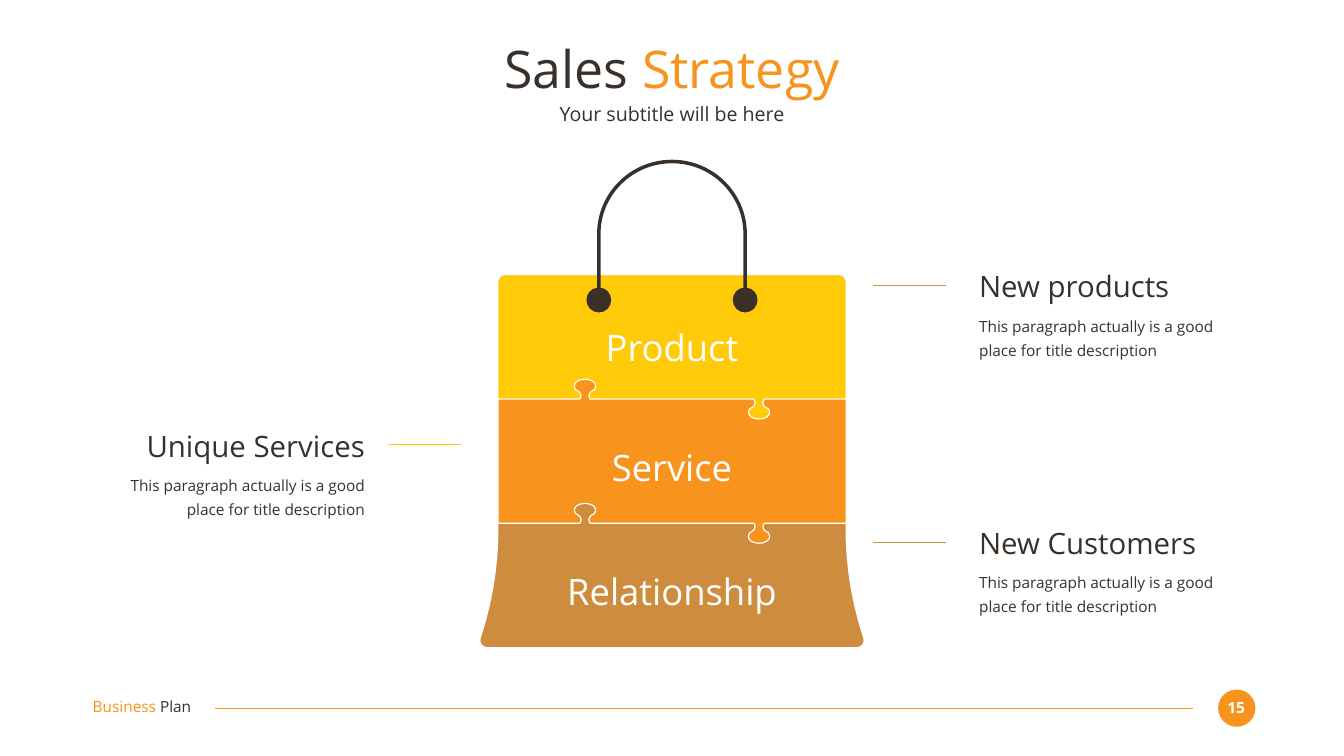
import pptx
import pptx.dml.color
import pptx.enum.shapes
import pptx.enum.text
import pptx.oxml.ns
import pptx.util
from lxml import etree

Pt = pptx.util.Pt
RGB = pptx.dml.color.RGBColor.from_string
qn = pptx.oxml.ns.qn
ALIGN = pptx.enum.text.PP_ALIGN
FONT = "Open Sans"
COLORS = {"dark": "39302A", "orange": "F8931D", "yellow": "FFCA08",
          "brown": "CE8D3E", "white": "FFFFFF"}
AXIS = 960
LEFT, RIGHT = 711.4, 1208.8


def connect(*parts):
    """Join Bezier chains (node, control, control, node, ...) by straight segments."""
    chain = list(parts[0])
    for part in parts[1:]:
        if chain[-1] == part[0]:
            chain += part[1:]
        else:
            chain += [chain[-1], part[0], *part]
    return chain


def with_mirror(half, axis=AXIS):
    """The half outline followed by its reflection, walked backwards."""
    return connect(half, [(2 * axis - x, y) for x, y in reversed(half)])


prs = pptx.Presentation()
prs.slide_width, prs.slide_height = Pt(1920), Pt(1080)
slide = prs.slides.add_slide(prs.slide_layouts[6])

# Bag pieces, joined along two seams with one knob up and one knob down
knob = with_mirror([(-7.6, 0), (-6.5, 0.7), (-5.6, 2.9), (-5.6, 5),
                    (-5.6, 7.9), (-7.2, 9.4), (-8.6, 10.8),
                    (-13, 12.2), (-15.3, 15.1), (-15.3, 18.7),
                    (-15.3, 24.5), (-8.6, 28.4), (0, 28.4)], 0)
seams = []
for seam_y in (570.3, 747.5):
    up, down = [[(knob_x + x, seam_y + direction * y) for x, y in knob]
                for knob_x, direction in ((AXIS - 124.3, -1), (AXIS + 124.3, 1))]
    seams.append(connect([(LEFT, seam_y)], up, down, [(RIGHT, seam_y)]))
upper_seam, lower_seam = seams

bag_top = with_mirror(connect([(RIGHT, 570.3)], [(RIGHT, 402.4), (RIGHT, 396.7),
                                                 (1204.3, 392.4), (1198.8, 392.4)]))
bag_base = with_mirror([(RIGHT, 756.7), (RIGHT, 809.3), (1217.5, 861.8), (1234.1, 911.5),
                        (1236.2, 918), (1231.2, 925.2), (1224, 925.2)])
handle = with_mirror(connect(
    [(AXIS, 228.2), (1019, 228.2), (1067, 275.8), (1067, 334)],
    [(1067, 411.1), (1075.7, 411.8), (1082.2, 419.8), (1082.2, 428.4),
     (1082.2, 438.5), (1074.2, 446.4), (1064.4, 446.4),
     (1054.6, 446.4), (1046.9, 438.5), (1046.9, 428.4),
     (1046.9, 419.8), (1053.4, 411.8), (1062, 411.1)],
    [(1062, 334), (1062, 278.6), (1016.4, 233.3), (AXIS, 233.3)]))

for outline, color, edged in (
        (connect(lower_seam, bag_base), "brown", True),
        (connect(upper_seam, bag_top), "yellow", True),
        (connect(upper_seam, lower_seam[::-1]), "orange", True),
        (handle, "dark", False)):
    points = [(Pt(x), Pt(y)) for x, y in outline]
    builder = slide.shapes.build_freeform(*points[0], scale=1.0)
    builder.add_line_segments(points[3::3], close=True)
    piece = builder.convert_to_shape()
    # Turn each straight segment into the curve with its two controls
    for index, segment in enumerate(list(piece.element.iter(qn("a:lnTo")))[:len(points) // 3]):
        curve = etree.Element(qn("a:cubicBezTo"))
        for x, y in points[3 * index + 1:3 * index + 4]:
            etree.SubElement(curve, qn("a:pt"), x=str(x - piece.left), y=str(y - piece.top))
        segment.getparent().replace(segment, curve)
    piece.shadow.inherit = False
    piece.fill.solid()
    piece.fill.fore_color.rgb = RGB(COLORS[color])
    if edged:
        piece.line.color.rgb = RGB(COLORS["white"])
        piece.line.width = Pt(1.5)
    else:
        piece.line.fill.background()

# Footer rule and the lines beside the callouts
for x1, x2, y, color in ((1704, 307.4, 1011.6, "orange"), (658, 554.4, 635.4, "yellow"),
                         (1351.4, 1247.8, 774.7, "brown"), (1351.4, 1247.8, 408.2, "brown")):
    rule = slide.shapes.add_connector(pptx.enum.shapes.MSO_CONNECTOR.STRAIGHT,
                                      Pt(x1), Pt(y), Pt(x2), Pt(y))
    rule.line.color.rgb = RGB(COLORS[color])
    rule.line.width = Pt(1.5)
    etree.SubElement(rule.element.find(qn("p:spPr")), qn("a:effectLst"))

page_badge = slide.shapes.add_shape(pptx.enum.shapes.MSO_SHAPE.OVAL,
                                    Pt(1740.2), Pt(985), Pt(53.3), Pt(53.3))
page_badge.shadow.inherit = False
page_badge.fill.solid()
page_badge.fill.fore_color.rgb = RGB(COLORS["orange"])
page_badge.line.fill.background()

# Texts: left, top, width, height, alignment, size, line spacing, runs
texts = [
    (132, 52.6, 1656, 91.4, ALIGN.CENTER, 74, None,
     [("Sales ", "dark"), ("Strategy", "orange")]),
    (132, 146.2, 1656, 35.3, ALIGN.CENTER, 28, None, [("Your subtitle will be here", "dark")]),
    (132.5, 996.5, 186.5, 26.6, ALIGN.LEFT, 22, None,
     [("Business ", "orange"), ("Plan", "dark")]),
    (1744.6, 997.2, 42.5, 26.6, ALIGN.CENTER, 22, None, [("15", "white")]),
]
for label, top in (("Product", 464.4), ("Service", 635.8), ("Relationship", 812.5)):
    texts.append((770.4, top, 379.4, 63.4, ALIGN.CENTER, 52, None, [(label, "white")]))

description = "This paragraph actually is a good place for title description"
for heading, left, top, align in (("Unique Services", 131.8, 611.3, ALIGN.RIGHT),
                                  ("New Customers", 1398.7, 750.2, ALIGN.LEFT),
                                  ("New products", 1398.7, 383.4, ALIGN.LEFT)):
    texts.append((left, top, 389.5, 51.1, align, 42, None, [(heading, "dark")]))
    texts.append((left, top + 61.2, 389.5, 66.2, align, 22, 1.3, [(description, "dark")]))

for left, top, width, height, align, size, spacing, runs in texts:
    frame = slide.shapes.add_textbox(Pt(left), Pt(top), Pt(width), Pt(height)).text_frame
    frame.word_wrap = True
    frame.margin_left = frame.margin_right = frame.margin_top = frame.margin_bottom = 0
    paragraph = frame.paragraphs[0]
    paragraph.alignment = align
    if spacing:
        paragraph.line_spacing = spacing
    for words, color in runs:
        run = paragraph.add_run()
        run.text = words
        run.font.name = FONT
        run.font.size = Pt(size)
        run.font.bold = words == "15"
        run.font.color.rgb = RGB(COLORS[color])

prs.save("out.pptx")
